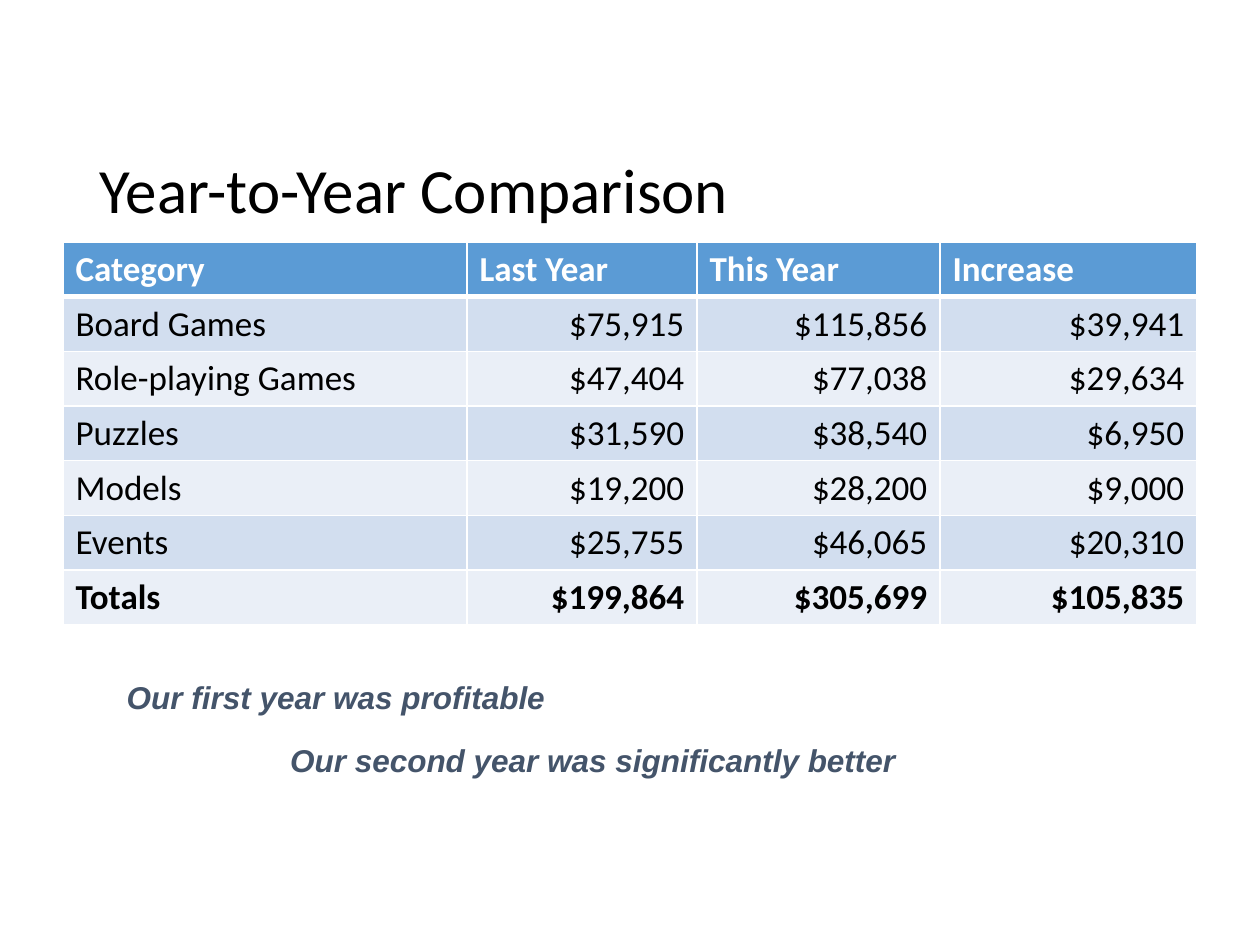
from dataclasses import dataclass

from lxml.etree import SubElement
from pptx import Presentation
from pptx.dml.color import RGBColor
from pptx.enum.text import MSO_ANCHOR, MSO_AUTO_SIZE, PP_ALIGN
from pptx.oxml.ns import qn
from pptx.util import Emu, Pt

PX_PER_INCH = 126


@dataclass(frozen=True)
class Theme:
    heading_font: str = "Calibri"
    note_font: str = "Arial"
    title_size: int = 36
    table_size: int = 20
    note_size: int = 18
    black: str = "000000"
    white: str = "FFFFFF"
    note_color: str = "44546A"
    header_fill: str = "5B9BD5"
    band_fills: tuple = ("D2DEEF", "EAEFF7")


THEME = Theme()

COLUMN_WIDTHS = (404, 230, 243, 257)
ROW_HEIGHT = 52
COMPARISON = (
    ("Category", "Last Year", "This Year", "Increase"),
    ("Board Games", "$75,915", "$115,856", "$39,941"),
    ("Role-playing Games", "$47,404", "$77,038", "$29,634"),
    ("Puzzles", "$31,590", "$38,540", "$6,950"),
    ("Models", "$19,200", "$28,200", "$9,000"),
    ("Events", "$25,755", "$46,065", "$20,310"),
    ("Totals", "$199,864", "$305,699", "$105,835"),
)
NOTES = (
    ("Our first year was profitable", (84, 672, 504, 50)),
    ("Our second year was significantly better", (273, 735, 640, 50)),
)


def px(length):
    return Emu(round(length * 914400 / PX_PER_INCH))


def add_run(paragraph, text, font, size, color, bold=False, italic=False):
    run = paragraph.add_run()
    run.text = text
    run.font.name = font
    run.font.size = Pt(size)
    run.font.bold = bold
    run.font.italic = italic
    run.font.color.rgb = RGBColor.from_string(color)


def fill_title(slide, text, box):
    title = slide.shapes.title
    title.left, title.top, title.width, title.height = map(px, box)
    frame = title.text_frame
    frame.auto_size = MSO_AUTO_SIZE.NONE
    frame.vertical_anchor = MSO_ANCHOR.BOTTOM
    paragraph = frame.paragraphs[0]
    paragraph.alignment = PP_ALIGN.LEFT
    paragraph.line_spacing = 0.9
    add_run(paragraph, text, THEME.heading_font, THEME.title_size, THEME.black)


def add_borders(cell, widths):
    """Draw white borders; widths maps a side (L, R, T, B) to points."""
    properties = cell._tc.get_or_add_tcPr()
    for side, width in widths.items():
        line = SubElement(properties, qn(f"a:ln{side}"), w=str(Pt(width)))
        fill = SubElement(line, qn("a:solidFill"))
        SubElement(fill, qn("a:srgbClr"), val=THEME.white)


def add_comparison_table(slide, rows, left, top):
    frame = slide.shapes.add_table(
        len(rows), len(COLUMN_WIDTHS), px(left), px(top),
        px(sum(COLUMN_WIDTHS)), px(ROW_HEIGHT * len(rows)))
    table = frame.table
    for column, width in zip(table.columns, COLUMN_WIDTHS):
        column.width = px(width)
    for row_index, values in enumerate(rows):
        table.rows[row_index].height = px(ROW_HEIGHT)
        is_header = row_index == 0
        is_total = row_index == len(rows) - 1
        fill = THEME.header_fill if is_header else THEME.band_fills[(row_index - 1) % 2]
        borders = {"L": 1, "R": 1, "T": 3 if row_index == 1 else 1,
                   "B": 3 if is_header else 1}
        for column_index, value in enumerate(values):
            cell = table.cell(row_index, column_index)
            add_borders(cell, borders)
            cell.fill.solid()
            cell.fill.fore_color.rgb = RGBColor.from_string(fill)
            paragraph = cell.text_frame.paragraphs[0]
            if column_index and not is_header:
                paragraph.alignment = PP_ALIGN.RIGHT
            add_run(paragraph, value, THEME.heading_font, THEME.table_size,
                    THEME.white if is_header else THEME.black,
                    bold=is_header or is_total)


def add_note(slide, text, box):
    frame = slide.shapes.add_textbox(*map(px, box)).text_frame
    frame.word_wrap = True
    frame.auto_size = MSO_AUTO_SIZE.SHAPE_TO_FIT_TEXT
    paragraph = frame.paragraphs[0]
    paragraph.alignment = PP_ALIGN.CENTER
    add_run(paragraph, text, THEME.note_font, THEME.note_size,
            THEME.note_color, bold=True, italic=True)


def main():
    presentation = Presentation()
    presentation.slide_width = px(1260)
    presentation.slide_height = px(945)
    slide = presentation.slides.add_slide(presentation.slide_layouts[5])
    fill_title(slide, "Year-to-Year Comparison", (87, 50, 1086, 183))
    for text, box in NOTES:
        add_note(slide, text, box)
    add_comparison_table(slide, COMPARISON, 63, 242)
    presentation.save("out.pptx")


if __name__ == "__main__":
    main()
